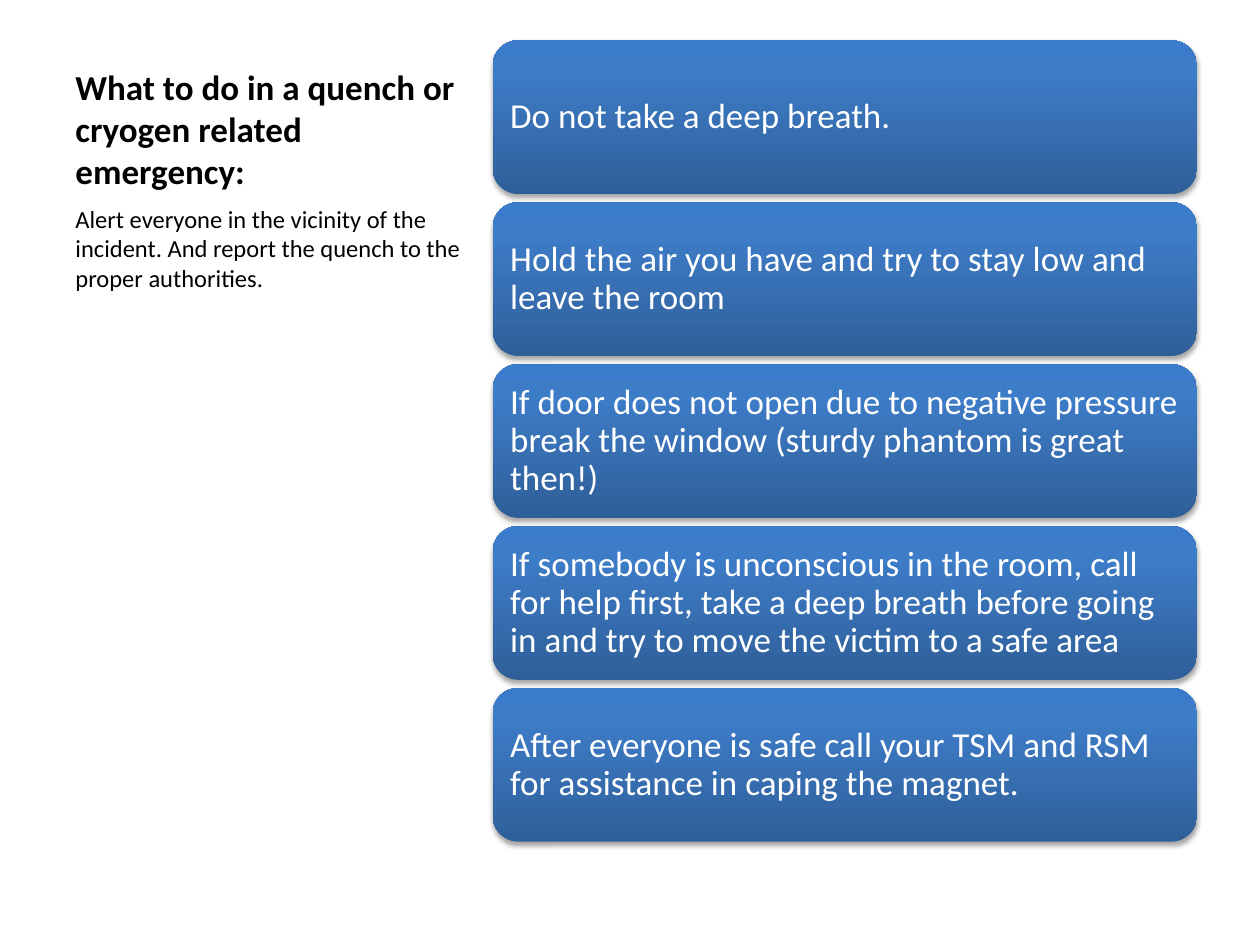
import copy
from dataclasses import dataclass

import pptx
import pptx.dml.color
import pptx.enum.shapes
import pptx.enum.text
import pptx.oxml
import pptx.oxml.ns
import pptx.util
from pptx.util import Inches

ANCHOR = pptx.enum.text.MSO_ANCHOR


@dataclass(frozen=True)
class Theme:
    font: str = "Calibri"
    dark: str = "000000"
    light: str = "FFFFFF"
    gradient: tuple = ((0, "2F5F99"), (0.8, "3D7CC7"), (1, "3A7CCB"))
    shadow: str = "000000"
    large: int = 20
    small: int = 14


THEME = Theme()

STEPS = (
    "Do not take a deep breath.",
    "Hold the air you have and try to stay low and leave the room",
    "If door does not open due to negative pressure break the window "
    "(sturdy phantom is great then!)",
    "If somebody is unconscious in the room, call for help first, take a deep "
    "breath before going in and try to move the victim to a safe area",
    "After everyone is safe call your TSM and RSM for assistance in caping the magnet.",
)


def rgb(value):
    return pptx.dml.color.RGBColor.from_string(value)


def write_text(shape, text, size, color, anchor, bold=False):
    frame = shape.text_frame
    frame.word_wrap = True
    frame.vertical_anchor = anchor
    frame.text = text
    para = frame.paragraphs[0]
    para.alignment = pptx.enum.text.PP_ALIGN.LEFT
    font = para.runs[0].font
    font.name = THEME.font
    font.size = pptx.util.Pt(size)
    font.bold = bold
    font.color.rgb = rgb(color)
    return frame


def add_text(page, text, top, height, size, anchor, bold=False):
    box = page.shapes.add_textbox(Inches(0.5), Inches(top), Inches(3.29), Inches(height))
    write_text(box, text, size, THEME.dark, anchor, bold)


def fill_gradient(shape):
    shape.fill.gradient()
    shape.fill.gradient_angle = 90
    stop_list = shape.element.spPr.find(".//" + pptx.oxml.ns.qn("a:gsLst"))
    stop_list.append(copy.deepcopy(stop_list[-1]))
    for stop, (position, color) in zip(shape.fill.gradient_stops, THEME.gradient):
        stop.position = position
        stop.color.rgb = rgb(color)


def add_shadow(shape):
    shape.shadow.inherit = False
    effects = shape.element.spPr.find(pptx.oxml.ns.qn("a:effectLst"))
    effects.append(pptx.oxml.parse_xml(
        f'<a:outerShdw {pptx.oxml.ns.nsdecls("a")} blurRad="{pptx.util.Pt(3.1)}" '
        f'dist="{pptx.util.Pt(1.8)}" dir="5400000" rotWithShape="0">'
        f'<a:srgbClr val="{THEME.shadow}"><a:alpha val="35000"/></a:srgbClr>'
        '</a:outerShdw>'))


def add_step(page, text, top):
    card = page.shapes.add_shape(
        pptx.enum.shapes.MSO_SHAPE.ROUNDED_RECTANGLE,
        Inches(3.91), Inches(top), Inches(5.59), Inches(1.22))
    fill_gradient(card)
    card.line.fill.background()
    add_shadow(card)
    frame = write_text(card, text, THEME.large, THEME.light, ANCHOR.MIDDLE)
    frame.margin_left = frame.margin_right = Inches(0.08)
    frame.margin_top = frame.margin_bottom = Inches(0.08)
    frame.paragraphs[0].line_spacing = 0.9


def main():
    deck = pptx.Presentation()
    deck.slide_width, deck.slide_height = Inches(10), Inches(7.5)
    page = deck.slides.add_slide(deck.slide_layouts[6])
    add_text(page, "What to do in a quench or cryogen related emergency:",
             0.3, 1.27, THEME.large, ANCHOR.BOTTOM, bold=True)
    add_text(page, "Alert everyone in the vicinity of the incident. "
             "And report the quench to the proper authorities.",
             1.57, 5.13, THEME.small, ANCHOR.TOP)
    first_top, last_top = 0.32, 5.46
    pitch = (last_top - first_top) / (len(STEPS) - 1)
    for index, step in enumerate(STEPS):
        add_step(page, step, first_top + index * pitch)
    deck.save("out.pptx")


if __name__ == "__main__":
    main()
